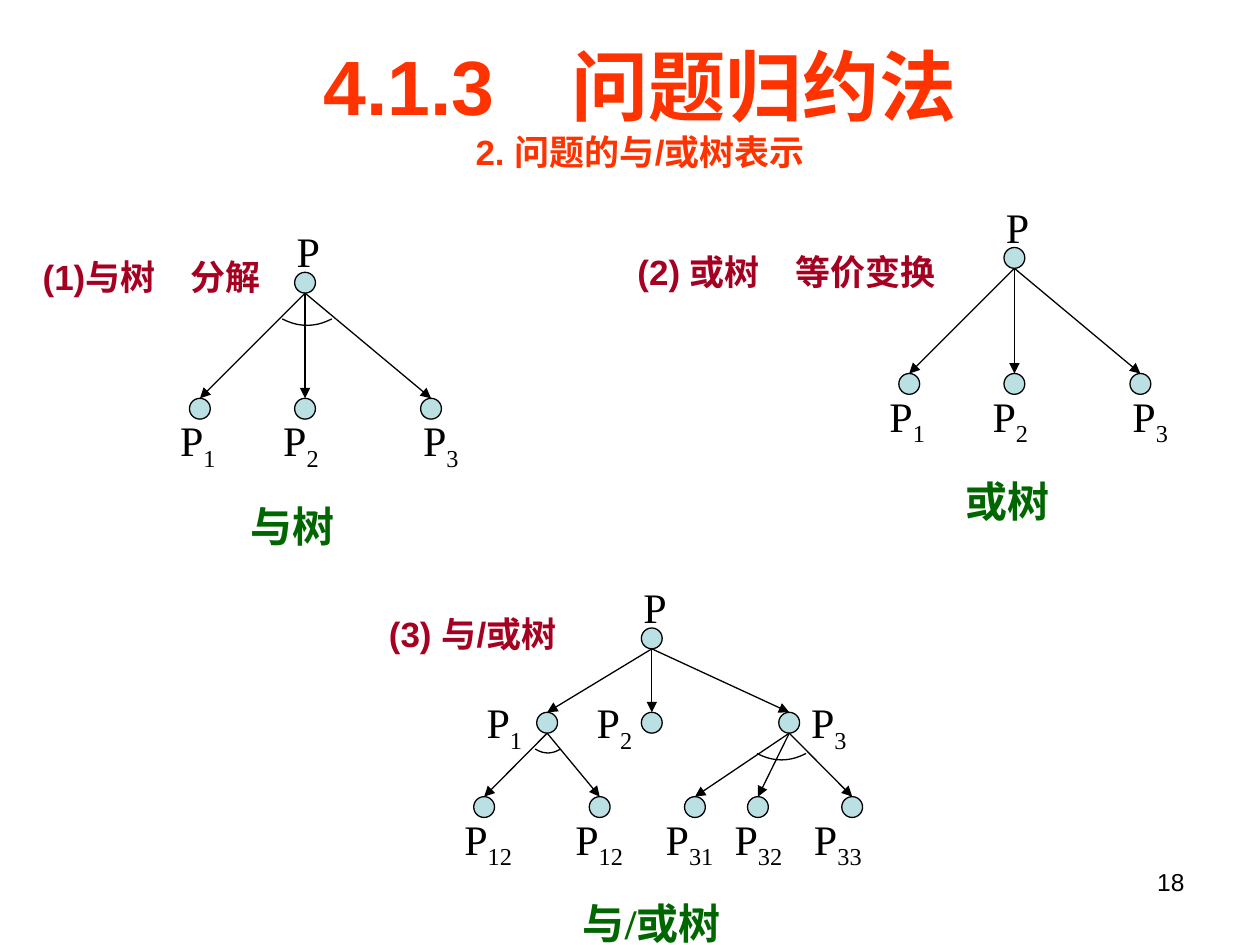
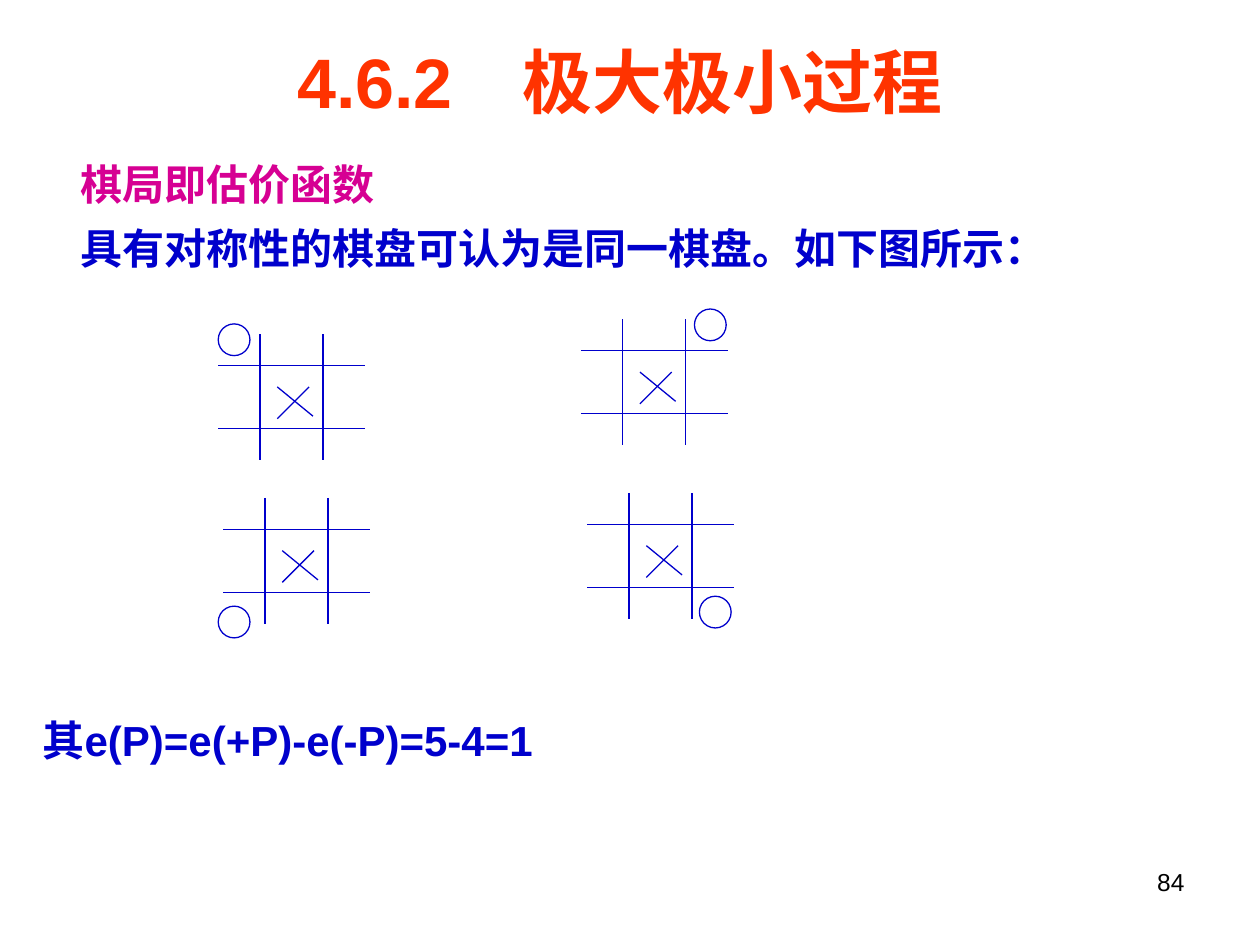
from lxml import etree
from pptx import Presentation
from pptx.dml.color import RGBColor
from pptx.enum.shapes import MSO_CONNECTOR, MSO_SHAPE
from pptx.enum.text import MSO_ANCHOR, MSO_AUTO_SIZE, PP_ALIGN
from pptx.oxml.ns import qn
from pptx.util import Cm, Pt

STRAIGHT = MSO_CONNECTOR.STRAIGHT
OVAL = MSO_SHAPE.OVAL
TOP, MIDDLE = MSO_ANCHOR.TOP, MSO_ANCHOR.MIDDLE
NO_FIT = MSO_AUTO_SIZE.NONE
LEFT, CENTER = PP_ALIGN.LEFT, PP_ALIGN.CENTER
RIGHT, JUSTIFY = PP_ALIGN.RIGHT, PP_ALIGN.JUSTIFY

BLACK = RGBColor(0x00, 0x00, 0x00)
WHITE = RGBColor(0xFF, 0xFF, 0xFF)
NODE_FILL = RGBColor(0xBB, 0xE0, 0xE3)
TITLE_RED = RGBColor(0xFF, 0x33, 0x00)
HEADING_RED = RGBColor(0xA5, 0x00, 0x21)
CAPTION_GREEN = RGBColor(0x00, 0x66, 0x00)
MAGENTA = RGBColor(0xD6, 0x00, 0x93)
BLUE = RGBColor(0x00, 0x00, 0xCC)

SANS, SERIF = "Arial", "Times New Roman"
THIN = Pt(0.75)
NODE_R = 0.21
PIECE_D = 0.64


def place(sp, x, y, w, h):
    sp.left, sp.top, sp.width, sp.height = Cm(x), Cm(y), Cm(w), Cm(h)


def add_run(p, text, size, color, font=SANS, bold=False):
    r = p.add_run()
    r.text = text
    r.font.size = Pt(size)
    r.font.name = font
    r.font.bold = bold
    r.font.color.rgb = color
    return r


def set_frame(sp, anchor=TOP):
    tf = sp.text_frame
    tf.word_wrap = True
    tf.auto_size = NO_FIT
    tf.vertical_anchor = anchor
    return tf


def add_text(slide, box, text, size, color, font=SANS, bold=False,
             align=LEFT, anchor=TOP):
    sp = slide.shapes.add_textbox(0, 0, 0, 0)
    place(sp, *box)
    p = set_frame(sp, anchor).paragraphs[0]
    p.alignment = align
    add_run(p, text, size, color, font, bold)
    return p


def add_title(slide, box, lines):
    sp = slide.shapes.title
    place(sp, *box)
    tf = set_frame(sp)
    for i, (text, size) in enumerate(lines):
        p = tf.add_paragraph() if i else tf.paragraphs[0]
        p.alignment = CENTER
        p.space_before = Pt(0)
        add_run(p, text, size, TITLE_RED, bold=True)


def add_body(slide, box, lines):
    sp = slide.placeholders[1]
    place(sp, *box)
    sp.fill.solid()
    sp.fill.fore_color.rgb = WHITE
    tf = set_frame(sp)
    for i, (text, color) in enumerate(lines):
        p = tf.add_paragraph() if i else tf.paragraphs[0]
        p.alignment = JUSTIFY
        p.line_spacing = 1.05
        p.space_before = Pt(6 if i else 0)
        pPr = p._p.get_or_add_pPr()
        pPr.set("marL", str(Cm(0.76)))
        pPr.set("indent", "0")
        etree.SubElement(pPr, qn("a:buNone"))
        add_run(p, text, 24, color, SERIF, True)


def add_page_number(slide, number):
    add_text(slide, (18.21, 17.35, 5.92, 1.32), number, 14, BLACK, align=RIGHT)


def add_line(slide, start, end, color, arrow=False):
    cxn = slide.shapes.add_connector(STRAIGHT, *map(Cm, start + end))
    cxn.line.color.rgb = color
    cxn.line.width = THIN
    spPr = cxn._element.spPr
    if arrow:
        etree.SubElement(spPr.find(qn("a:ln")), qn("a:tailEnd"), type="triangle")
    etree.SubElement(spPr, qn("a:effectLst"))


def add_circle(slide, x, y, d, color, fill=None):
    sp = slide.shapes.add_shape(OVAL, Cm(x), Cm(y), Cm(d), Cm(d))
    sp.shadow.inherit = False
    sp.line.color.rgb = color
    sp.line.width = THIN
    if fill is None:
        sp.fill.background()
    else:
        sp.fill.solid()
        sp.fill.fore_color.rgb = fill


def add_arc(slide, node, x1, x2, y, depth):
    steps = 10
    points = []
    for i in range(steps + 1):
        t = i / steps
        points.append((Cm(node[0] + x1 + (x2 - x1) * t),
                       Cm(node[1] + y + 4 * depth * t * (1 - t))))
    builder = slide.shapes.build_freeform(*points[0], scale=1.0)
    builder.add_line_segments(points[1:], close=False)
    sp = builder.convert_to_shape()
    sp.shadow.inherit = False
    sp.fill.background()
    sp.line.color.rgb = BLACK
    sp.line.width = THIN


def add_node(slide, node, sub, dx, dy):
    x, y = node
    add_circle(slide, x - NODE_R, y - NODE_R, 2 * NODE_R, BLACK, NODE_FILL)
    p = add_text(slide, (x + dx, y + dy, 1.9, 1.3), "P", 24, BLACK, SERIF)
    if sub:
        r = add_run(p, sub, 24, BLACK, SERIF)
        r._r.get_or_add_rPr().set("baseline", "-25000")


def add_root(slide, root):
    add_node(slide, root, "", -0.42, -1.27)


def add_children(slide, parent, drop, label_dy, children):
    x, y = parent
    for sub, dx, label_dx in children:
        child = (x + dx, y + drop)
        add_line(slide, (x, y + NODE_R), (child[0], child[1] - NODE_R), BLACK, True)
        add_node(slide, child, sub, label_dx, label_dy)


def add_caption(slide, x, y, text):
    add_text(slide, (x - 2.5, y - 0.6, 5, 1.2), text, 24, CAPTION_GREEN, SERIF,
             True, CENTER, MIDDLE)


def add_simple_tree(slide, root, caption, caption_dx):
    add_root(slide, root)
    add_children(slide, root, 2.54, 0, [
        ("1", -2.12, -0.65), ("2", 0, -0.69), ("3", 2.54, -0.41)])
    add_caption(slide, root[0] + caption_dx, root[1] + 4.89, caption)


def add_and_or_tree(slide, root):
    x, y = root
    drop = 1.7
    p1, p3 = (x - 2.11, y + drop), (x + 2.77, y + drop)
    add_root(slide, root)
    add_children(slide, root, drop, -0.65, [
        ("1", -2.11, -1.47), ("2", 0, -1.36), ("3", 2.77, 0.19)])
    add_children(slide, p1, drop, 0, [
        ("12", -1.27, -0.65), ("12", 1.06, -0.74)])
    add_children(slide, p3, drop, 0, [
        ("31", -1.9, -0.84), ("32", -0.63, -0.72), ("33", 1.27, -1.02)])
    add_arc(slide, p1, -0.24, 0.27, 0.53, 0.08)
    add_arc(slide, p3, -0.65, 0.34, 0.62, 0.13)
    add_caption(slide, x, y + 5.74, "与/或树")


def add_board(slide, x, y, piece_dx, piece_dy):
    cell = 1.27
    for i in range(2):
        row, col = y + i * cell, x + 0.84 + i * cell
        add_line(slide, (x, row), (x + 2.96, row), BLUE)
        add_line(slide, (col, y - cell / 2), (col, y + 1.5 * cell), BLUE)
    add_line(slide, (x + 1.83, y + 0.43), (x + 1.19, y + 1.07), BLUE)
    add_line(slide, (x + 1.19, y + 0.43), (x + 1.91, y + 1.02), BLUE)
    add_circle(slide, x + piece_dx, y + piece_dy, PIECE_D, BLUE)


def build_tree_slide(prs):
    slide = prs.slides.add_slide(prs.slide_layouts[5])
    add_title(slide, (3.1, 0.64, 19.61, 2.97), [
        ("4.1.3　问题归约法", 44), ("2. 问题的与/或树表示", 20)])
    for box, text in [
        ((0.61, 5.03, 5.41, 1.12), "(1)与树　分解"),
        ((12.6, 4.93, 7.01, 1.12), "(2) 或树　等价变换"),
        ((7.59, 12.22, 4.19, 1.96), "(3) 与/或树"),
    ]:
        add_text(slide, box, text, 20, HEADING_RED, bold=True)
    and_root = (6.15, 5.7)
    add_simple_tree(slide, and_root, "与树", -0.25)
    add_arc(slide, and_root, -0.46, 0.54, 0.73, 0.13)
    add_simple_tree(slide, (20.45, 5.2), "或树", -0.14)
    add_and_or_tree(slide, (13.14, 12.87))
    add_page_number(slide, "18")


def build_board_slide(prs):
    slide = prs.slides.add_slide(prs.slide_layouts[1])
    add_title(slide, (3.3, 0.64, 18.39, 1.96), [("4.6.2　极大极小过程", 40)])
    add_body(slide, (0.61, 3.02, 24, 2.62), [
        ("棋局即估价函数", MAGENTA),
        ("具有对称性的棋盘可认为是同一棋盘。如下图所示：", BLUE)])
    for board in [
        (4.4, 7.37, 0, -0.84),
        (11.71, 7.07, 2.29, -0.84),
        (4.5, 10.67, -0.1, 1.55),
        (11.84, 10.57, 2.26, 1.45),
    ]:
        add_board(slide, *board)
    p = add_text(slide, (0.61, 14.22, 24.1, 1.32), "其e(P)=e(+P)-e(-P)=5-4=1",
                 24, BLUE, bold=True)
    p.line_spacing = 1.05
    add_page_number(slide, "84")


def main():
    prs = Presentation()
    prs.slide_width, prs.slide_height = Cm(25.4), Cm(19.05)
    build_tree_slide(prs)
    build_board_slide(prs)
    prs.save("out.pptx")


if __name__ == "__main__":
    main()
